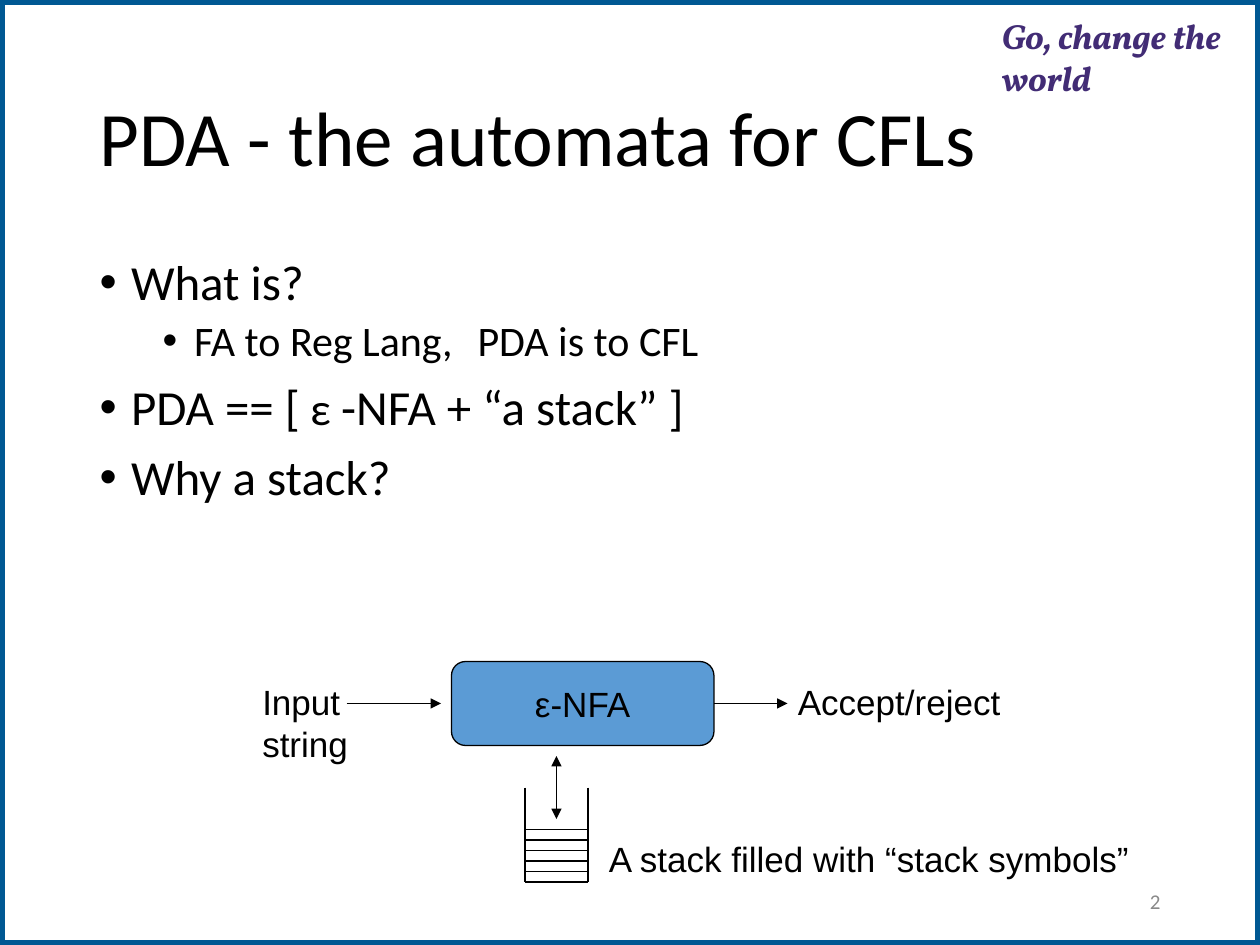
import dataclasses

import lxml.etree
import pptx
import pptx.dml.color
import pptx.enum.shapes
import pptx.enum.text
import pptx.oxml.ns
import pptx.util

PX = 7620
ALIGN = pptx.enum.text.PP_ALIGN
ANCHOR = pptx.enum.text.MSO_ANCHOR
SHAPE = pptx.enum.shapes.MSO_SHAPE


@dataclasses.dataclass(frozen=True)
class Theme:
    """Colours, fonts and type sizes of the slide."""
    ink: str = "000000"
    paper: str = "FFFFFF"
    border: str = "005893"
    motto: str = "422C75"
    muted: str = "898989"
    accent: str = "5B9BD5"
    body_font: str = "Calibri"
    label_font: str = "Arial"
    motto_font: str = "Vollkorn"
    title_size: int = 44
    bullet_size: int = 28
    symbol_size: int = 26
    sub_size: int = 24
    label_size: int = 20
    number_size: int = 12
    hairline: float = 0.75
    border_width: float = 6


THEME = Theme()


def px(*lengths):
    """Turn pixel lengths into EMU."""
    return [pptx.util.Emu(length * PX) for length in lengths]


def rgb(value):
    """Return a colour from its hex value."""
    return pptx.dml.color.RGBColor.from_string(value)


def add_child(parent, tag, **attributes):
    """Append a DrawingML element to a parent."""
    child = lxml.etree.SubElement(parent, pptx.oxml.ns.qn(tag))
    for name, value in attributes.items():
        child.set(name, value)
    return child


def add_span(para, text, size, font=THEME.body_font, color=THEME.ink):
    """Add one styled run to a paragraph."""
    span = para.add_run()
    span.text = text
    span.font.size = pptx.util.Pt(size)
    span.font.name = font
    span.font.color.rgb = rgb(color)
    return span


def add_box(page, place, anchor=ANCHOR.TOP, wrap=True):
    """Add an empty text box and return its text frame."""
    frame = page.shapes.add_textbox(*px(*place)).text_frame
    frame.word_wrap = wrap
    frame.vertical_anchor = anchor
    return frame


def add_panel(page, kind, place, fill, line, width):
    """Add a filled and outlined preset shape."""
    panel = page.shapes.add_shape(kind, *px(*place))
    panel.shadow.inherit = False
    panel.fill.solid()
    panel.fill.fore_color.rgb = rgb(fill)
    panel.line.color.rgb = rgb(line)
    panel.line.width = pptx.util.Pt(width)
    return panel


def add_line(page, start, end, *arrowheads):
    """Add a thin straight line, with arrowheads at headEnd or tailEnd."""
    line = page.shapes.add_connector(
        pptx.enum.shapes.MSO_CONNECTOR.STRAIGHT, *px(*start, *end))
    line.line.color.rgb = rgb(THEME.ink)
    line.line.width = pptx.util.Pt(THEME.hairline)
    for arrowhead in arrowheads:
        add_child(line.line._get_or_add_ln(), f"a:{arrowhead}", type="triangle")
    add_child(line._element.spPr, "a:effectLst")


def add_label(page, place, *lines):
    """Add an unwrapped diagram label."""
    frame = add_box(page, place, wrap=False)
    for index, text in enumerate(lines):
        para = frame.add_paragraph() if index else frame.paragraphs[0]
        add_span(para, text, THEME.label_size, THEME.label_font)


def add_motto(page):
    """Add the slogan at the top right."""
    frame = add_box(page, (953, 13, 246, 74))
    frame.margin_left, frame.margin_top = px(1, 1)
    frame.margin_right = frame.margin_bottom = 0
    for text, spacing in (("Go, change ", -10), ("the ", 0), ("world", -10)):
        span = add_span(frame.paragraphs[0], text, THEME.label_size,
                        THEME.motto_font, THEME.motto)
        span.font.bold = span.font.italic = True
        span.font._element.set("spc", str(spacing))


def add_title(page):
    """Add the slide title."""
    para = add_box(page, (83, 48, 1034, 174), ANCHOR.MIDDLE).paragraphs[0]
    para.line_spacing = 0.9
    add_span(para, "PDA - the automata for CFLs", THEME.title_size)


def add_bullets(page):
    """Add the two-level bullet list."""
    main, sub = THEME.bullet_size, THEME.sub_size
    bullets = (
        (0, [("What is?", main)]),
        (1, [("FA to Reg Lang, \tPDA is to CFL", sub)]),
        (0, [("PDA == [", main), (" ε ", THEME.symbol_size),
             ("-NFA + “a stack” ]", main)]),
        (0, [("Why a stack?", main)]),
    )
    frame = add_box(page, (83, 240, 1034, 571))
    for index, (level, spans) in enumerate(bullets):
        para = frame.add_paragraph() if index else frame.paragraphs[0]
        para.level = level
        para.line_spacing = 0.9
        if index:
            para.space_before = pptx.util.Pt(5 if level else 10)
        properties = para._p.get_or_add_pPr()
        properties.set("marL", str((30 + 60 * level) * PX))
        properties.set("indent", str(-30 * PX))
        add_child(properties, "a:buFont", typeface=THEME.label_font)
        add_child(properties, "a:buChar", char="•")
        for text, size in spans:
            add_span(para, text, size)


def add_number(page):
    """Add the slide number."""
    para = add_box(page, (847, 834, 270, 48), ANCHOR.MIDDLE).paragraphs[0]
    para.alignment = ALIGN.RIGHT
    add_span(para, "2", THEME.number_size, color=THEME.muted)


def add_stack(page, left, top, right, bottom):
    """Add an open-topped stack with its lower cells filled."""
    for x in (left, right):
        add_line(page, (x, top), (x, bottom))
    for y in range(bottom - 50, bottom + 1, 10):
        add_line(page, (left, y), (right, y))


def add_diagram(page):
    """Add the automaton, its arrows, its stack and their labels."""
    automaton = add_panel(page, SHAPE.ROUNDED_RECTANGLE, (430, 630, 250, 80),
                          THEME.accent, THEME.ink, THEME.hairline)
    frame = automaton.text_frame
    frame.word_wrap = False
    frame.vertical_anchor = ANCHOR.MIDDLE
    frame.paragraphs[0].alignment = ALIGN.CENTER
    add_span(frame.paragraphs[0], "ε-NFA", THEME.label_size, THEME.label_font)
    add_line(page, (330, 670), (420, 670), "tailEnd")
    add_line(page, (680, 670), (750, 670), "tailEnd")
    add_stack(page, 500, 750, 560, 840)
    add_line(page, (530, 720), (530, 780), "headEnd", "tailEnd")
    add_label(page, (568, 792, 521, 52), "A stack filled with “stack symbols”")
    add_label(page, (238, 642, 106, 92), "Input", "string")
    add_label(page, (748, 642, 217, 52), "Accept/reject")


def main():
    """Build and save the slide."""
    deck = pptx.Presentation()
    deck.slide_width, deck.slide_height = px(1200, 900)
    page = deck.slides.add_slide(deck.slide_layouts[6])
    add_panel(page, SHAPE.RECTANGLE, (0, 0, 1200, 900),
              THEME.paper, THEME.border, THEME.border_width)
    add_motto(page)
    add_title(page)
    add_bullets(page)
    add_number(page)
    add_diagram(page)
    deck.save("out.pptx")


if __name__ == "__main__":
    main()
